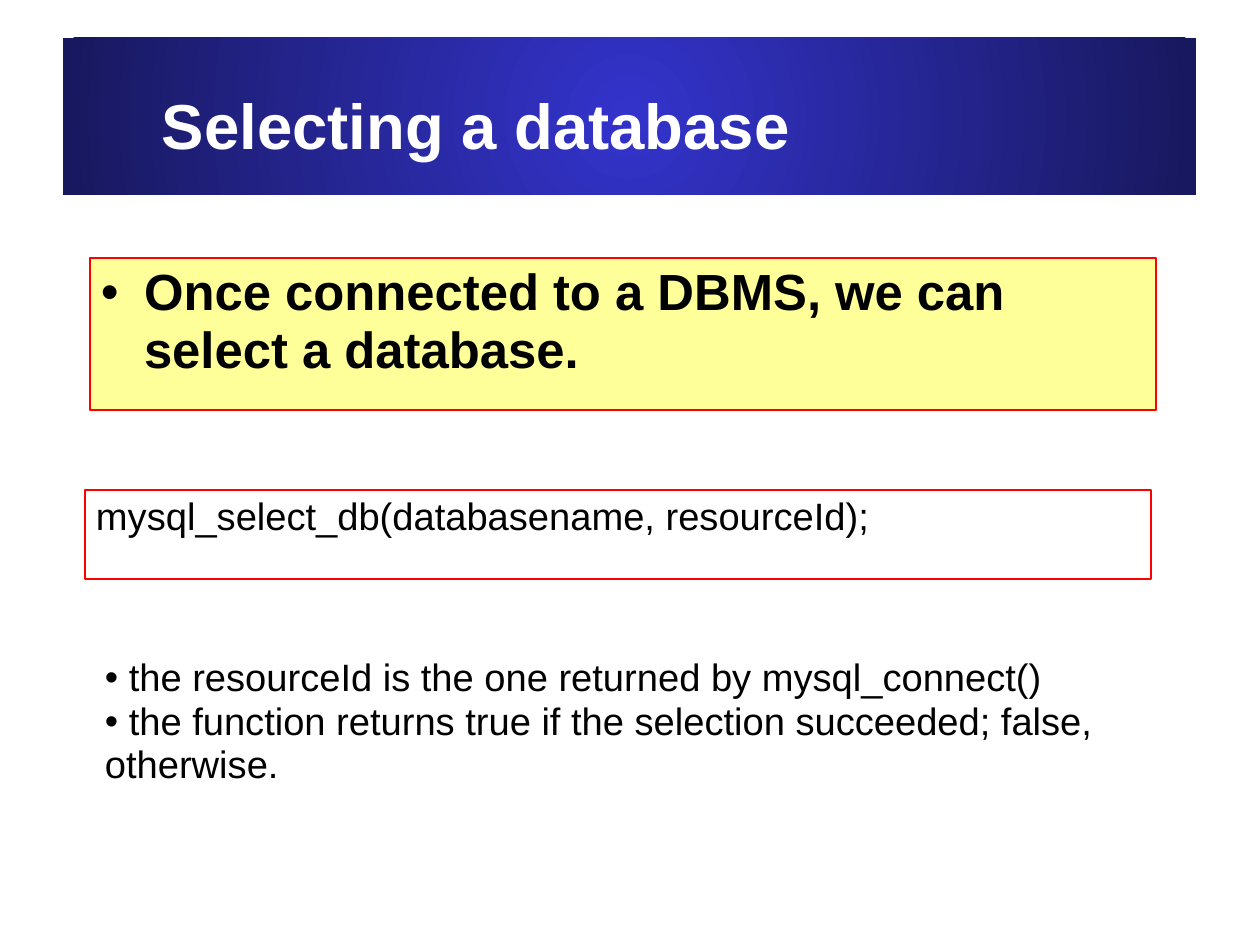
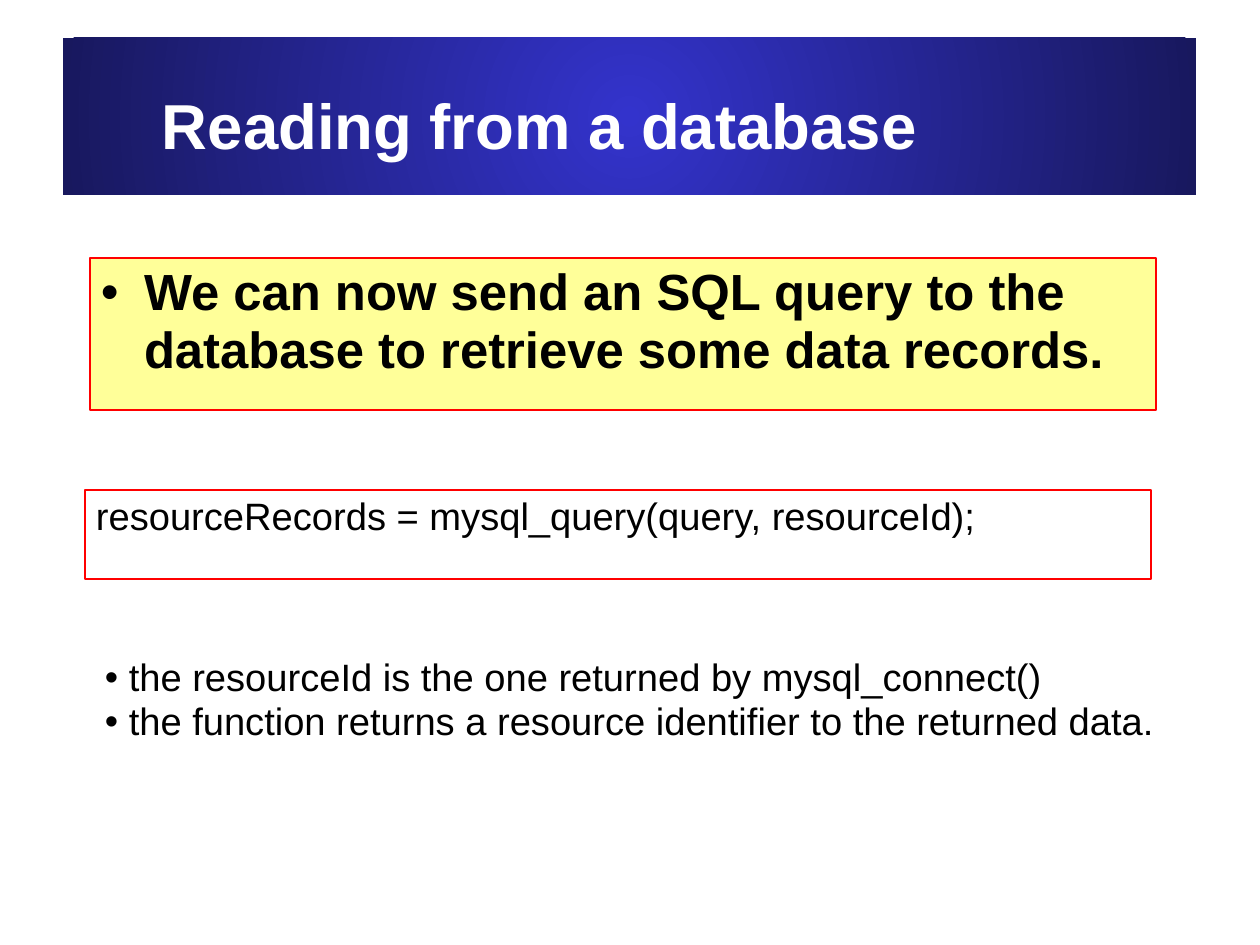
from lxml.etree import SubElement
from pptx import Presentation
from pptx.dml.color import RGBColor
from pptx.enum.shapes import MSO_SHAPE
from pptx.enum.text import MSO_ANCHOR, MSO_AUTO_SIZE, PP_ALIGN
from pptx.oxml.ns import qn
from pptx.util import Pt

PX = 8000
FONT = "Arial"
COLORS = {
    "band_center": "3333CC",
    "band_edge": "18185E",
    "title": "FFFFFF",
    "text": "000000",
    "key_point": "FFFF99",
    "code": "FFFFFF",
    "border": "FF0000",
}
SLIDE_SIZE = (1260, 945)
TITLE_BOX = (63, 38, 1133, 157)
KEY_BOX = (90, 258, 1066, 152)
CODE_BOX = (85, 490, 1066, 89)
NOTES_LEFT, NOTES_TOP, NOTES_WIDTH = 94, 651, 1081

SLIDES = [
    {
        "title": "Selecting a database",
        "key_point": "Once connected to a DBMS, we can select a database.",
        "code": "mysql_select_db(databasename, resourceId);",
        "notes": [
            " the resourceId is the one returned by mysql_connect()",
            " the function returns true if the selection succeeded; false, otherwise.",
        ],
        "notes_height": 187,
    },
    {
        "title": "Reading from a database",
        "key_point": "We can now send an SQL query to the database to retrieve some data records.",
        "code": "resourceRecords = mysql_query(query, resourceId);",
        "notes": [
            " the resourceId is the one returned by mysql_connect()",
            " the function returns a resource identifier to the returned data.",
        ],
        "notes_height": 143,
    },
]


def rgb(name):
    return RGBColor.from_string(COLORS[name])


def emu(box):
    return [v * PX for v in box]


def place(sp, box):
    sp.left, sp.top, sp.width, sp.height = emu(box)


def set_bullet(p, margin, indent):
    pPr = p._p.get_or_add_pPr()
    pPr.set("marL", str(margin * PX))
    pPr.set("indent", str(indent * PX))
    clr = SubElement(pPr, qn("a:buClr"))
    SubElement(clr, qn("a:srgbClr"), val=COLORS["text"])
    SubElement(pPr, qn("a:buFont"), typeface=FONT)
    SubElement(pPr, qn("a:buChar"), char="•")


def write(sp, lines, size, color="text", bold=False, insets=(11, 6, 11, 6),
          bullet=None, auto_size=MSO_AUTO_SIZE.NONE):
    tf = sp.text_frame
    tf.word_wrap = True
    tf.auto_size = auto_size
    tf.vertical_anchor = MSO_ANCHOR.TOP
    tf.margin_left, tf.margin_top, tf.margin_right, tf.margin_bottom = emu(insets)
    for i, line in enumerate(lines):
        p = tf.add_paragraph() if i else tf.paragraphs[0]
        p.alignment = PP_ALIGN.LEFT
        p.line_spacing = 0.95
        p.space_before = p.space_after = Pt(0)
        if bullet:
            set_bullet(p, *bullet)
        r = p.add_run()
        r.text = line
        r.font.name = FONT
        r.font.size = Pt(size)
        r.font.bold = bold
        r.font.color.rgb = rgb(color)


def fill_radial(sp, center, edge):
    sp.fill.gradient()
    for stop, name in zip(sp.fill.gradient_stops, (center, edge)):
        stop.color.rgb = rgb(name)
    grad = sp._element.spPr.find(qn("a:gradFill"))
    grad.remove(grad.find(qn("a:lin")))
    circle = SubElement(grad, qn("a:path"), path="circle")
    SubElement(circle, qn("a:fillToRect"), l="50000", t="50000", r="50000", b="50000")


def set_panel(sp, fill):
    sp.fill.solid()
    sp.fill.fore_color.rgb = rgb(fill)
    sp.line.color.rgb = rgb("border")
    sp.line.width = Pt(0.75)


def add_title(s, text):
    sp = s.shapes.title
    place(sp, TITLE_BOX)
    fill_radial(sp, "band_center", "band_edge")
    write(sp, [text], 40, "title", bold=True, insets=(99, 54, 0, 0))


def add_key_point(s, text):
    sp = s.placeholders[1]
    place(sp, KEY_BOX)
    set_panel(sp, "key_point")
    write(sp, [text], 32, bold=True, bullet=(43, -43))


def add_code(s, text):
    sp = s.shapes.add_shape(MSO_SHAPE.RECTANGLE, *emu(CODE_BOX))
    sp.shadow.inherit = False
    set_panel(sp, "code")
    write(sp, [text], 24)


def add_notes(s, lines, height):
    sp = s.shapes.add_textbox(*emu((NOTES_LEFT, NOTES_TOP, NOTES_WIDTH, height)))
    write(sp, lines, 24, bullet=(0, -19), auto_size=MSO_AUTO_SIZE.SHAPE_TO_FIT_TEXT)


def main():
    prs = Presentation()
    prs.slide_width, prs.slide_height = emu(SLIDE_SIZE)
    for content in SLIDES:
        s = prs.slides.add_slide(prs.slide_layouts[1])
        add_title(s, content["title"])
        add_key_point(s, content["key_point"])
        add_code(s, content["code"])
        add_notes(s, content["notes"], content["notes_height"])
    prs.save("out.pptx")


if __name__ == "__main__":
    main()
